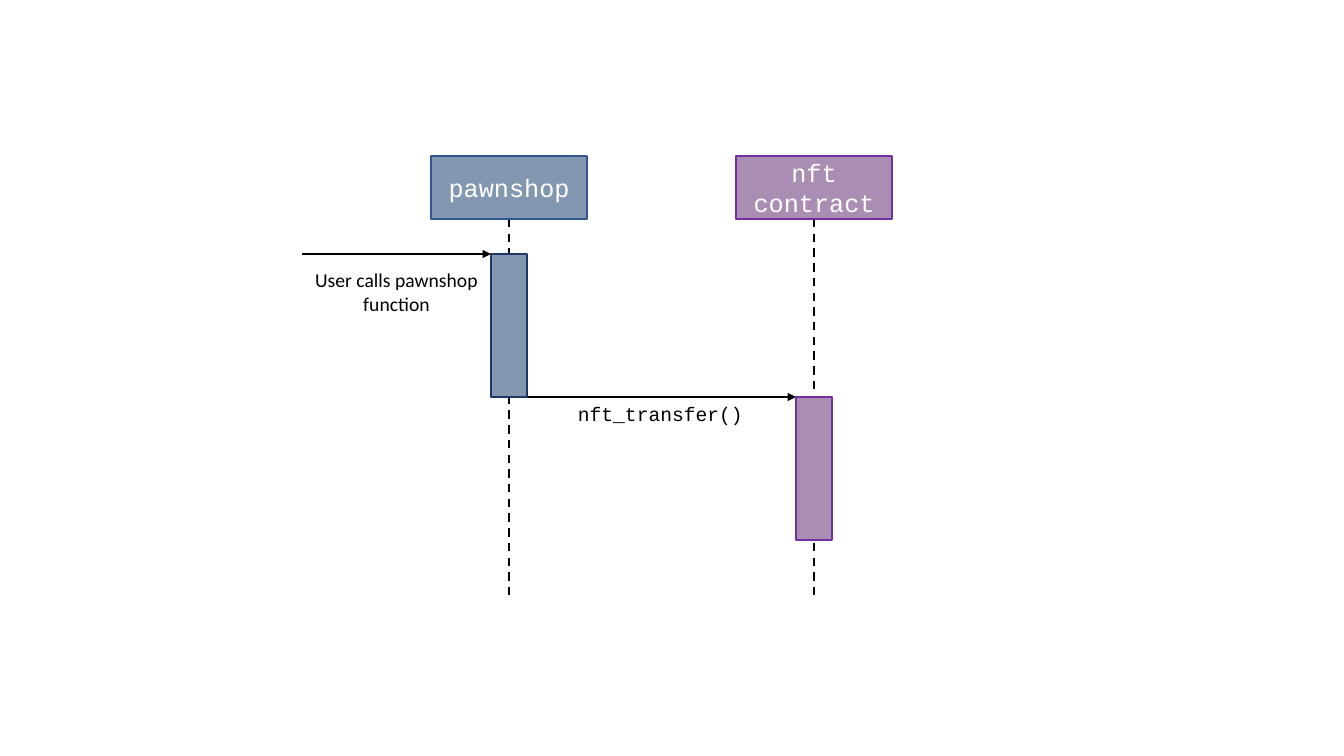
from pptx import Presentation
from pptx.dml.color import RGBColor
from pptx.enum.dml import MSO_LINE_DASH_STYLE as DASH
from pptx.enum.shapes import MSO_CONNECTOR as CONN, MSO_SHAPE as SHAPE
from pptx.enum.text import MSO_ANCHOR as ANCHOR, PP_ALIGN as ALIGN
from pptx.oxml.ns import qn
from pptx.util import Pt
from lxml.etree import SubElement

PX = 914400 / 100.8
COLORS = {
    "pawnshop": "8497B0", "pawnshop_edge": "325491", "pawnshop_bar_edge": "203864",
    "nft": "A98DB2", "nft_edge": "7030A0", "black": "000000", "white": "FFFFFF",
}
HEAD_TOP, HEAD_W, HEAD_H = 156, 156, 63
BAR_W, BAR_H = 36, 143
LIFELINE_END = 600
CALL_Y = 254
TRANSFER_Y = CALL_Y + BAR_H
PAWNSHOP_X, NFT_X = 509, 814

prs = Presentation()
prs.slide_width, prs.slide_height = round(1344 * PX), round(756 * PX)
slide = prs.slides.add_slide(prs.slide_layouts[6])


def emu(*pixels):
    return [round(p * PX) for p in pixels]


def write(frame, words, size, font, color):
    frame.word_wrap = True
    paragraph = frame.paragraphs[0]
    paragraph.alignment = ALIGN.CENTER
    run = paragraph.add_run()
    run.text = words
    run.font.size = Pt(size)
    run.font.name = font
    run.font.color.rgb = RGBColor.from_string(COLORS[color])


lifelines = [(x, HEAD_TOP + HEAD_H, x, LIFELINE_END, 1.5, False) for x in (PAWNSHOP_X, NFT_X)]
calls = [
    (302, CALL_Y, PAWNSHOP_X - BAR_W / 2, CALL_Y, 2, True),
    (PAWNSHOP_X + BAR_W / 2, TRANSFER_Y, NFT_X - BAR_W / 2, TRANSFER_Y, 2, True),
]
for x1, y1, x2, y2, width, is_call in lifelines + calls:
    line = slide.shapes.add_connector(CONN.STRAIGHT, *emu(x1, y1, x2, y2))
    line.line.color.rgb = RGBColor.from_string(COLORS["black"])
    line.line.width = Pt(width)
    if is_call:
        SubElement(line.line._get_or_add_ln(), qn("a:tailEnd"), type="triangle")
    else:
        line.line.dash_style = DASH.DASH
    SubElement(line._element.spPr, qn("a:effectLst"))

for x, top, width, height, fill, edge, name in [
    (PAWNSHOP_X, HEAD_TOP, HEAD_W, HEAD_H, "pawnshop", "pawnshop_edge", "pawnshop"),
    (NFT_X, HEAD_TOP, HEAD_W, HEAD_H, "nft", "nft_edge", "nft contract"),
    (PAWNSHOP_X, CALL_Y, BAR_W, BAR_H, "pawnshop", "pawnshop_bar_edge", None),
    (NFT_X, TRANSFER_Y, BAR_W, BAR_H, "nft", "nft_edge", None),
]:
    box = slide.shapes.add_shape(SHAPE.RECTANGLE, *emu(x - width / 2, top, width, height))
    box.shadow.inherit = False
    box.fill.solid()
    box.fill.fore_color.rgb = RGBColor.from_string(COLORS[fill])
    box.line.color.rgb = RGBColor.from_string(COLORS[edge])
    box.line.width = Pt(1)
    if name:
        box.text_frame.vertical_anchor = ANCHOR.MIDDLE
        write(box.text_frame, name, 18, "Courier New", "white")

for left, top, height, words, font in [
    (281, 263, 58, "User calls pawnshop function", "Calibri"),
    (545, TRANSFER_Y, 34, "nft_transfer()", "Courier New"),
]:
    label = slide.shapes.add_textbox(*emu(left, top, 231, height))
    write(label.text_frame, words, 14, font, "black")

prs.save("out.pptx")
